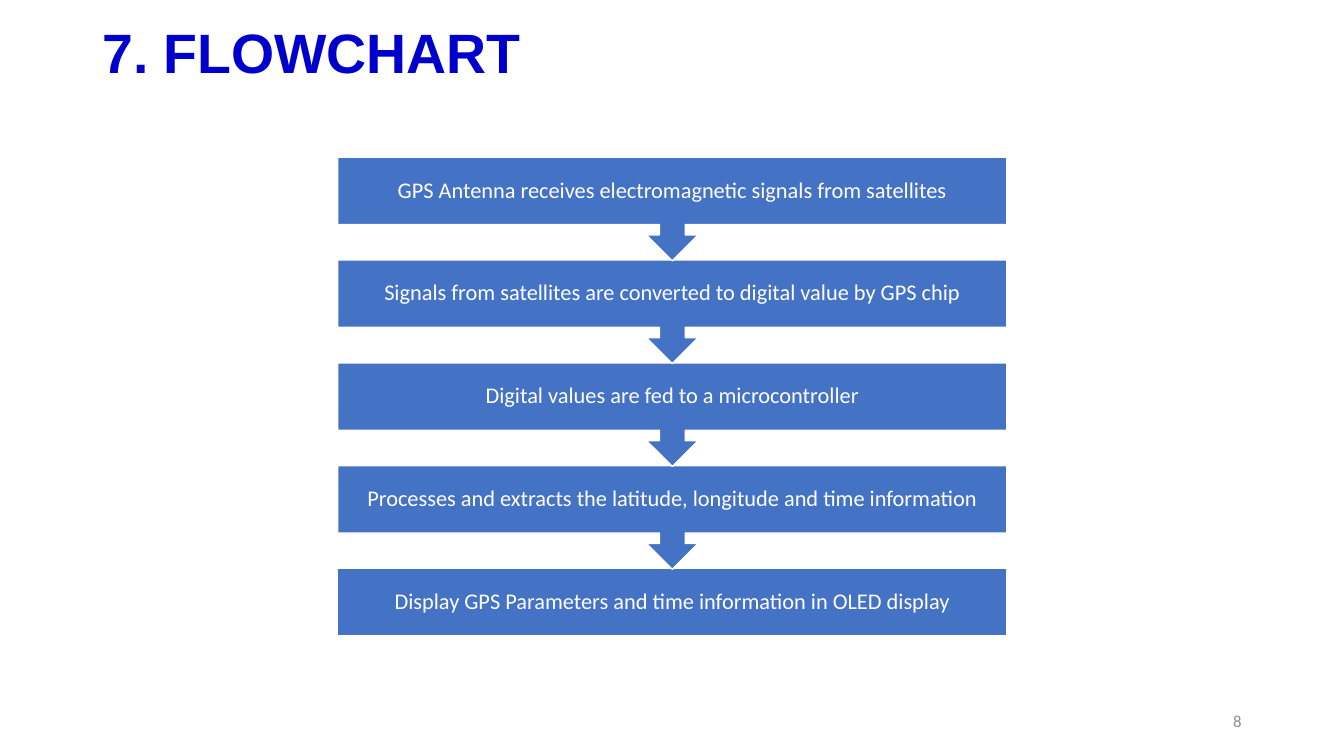
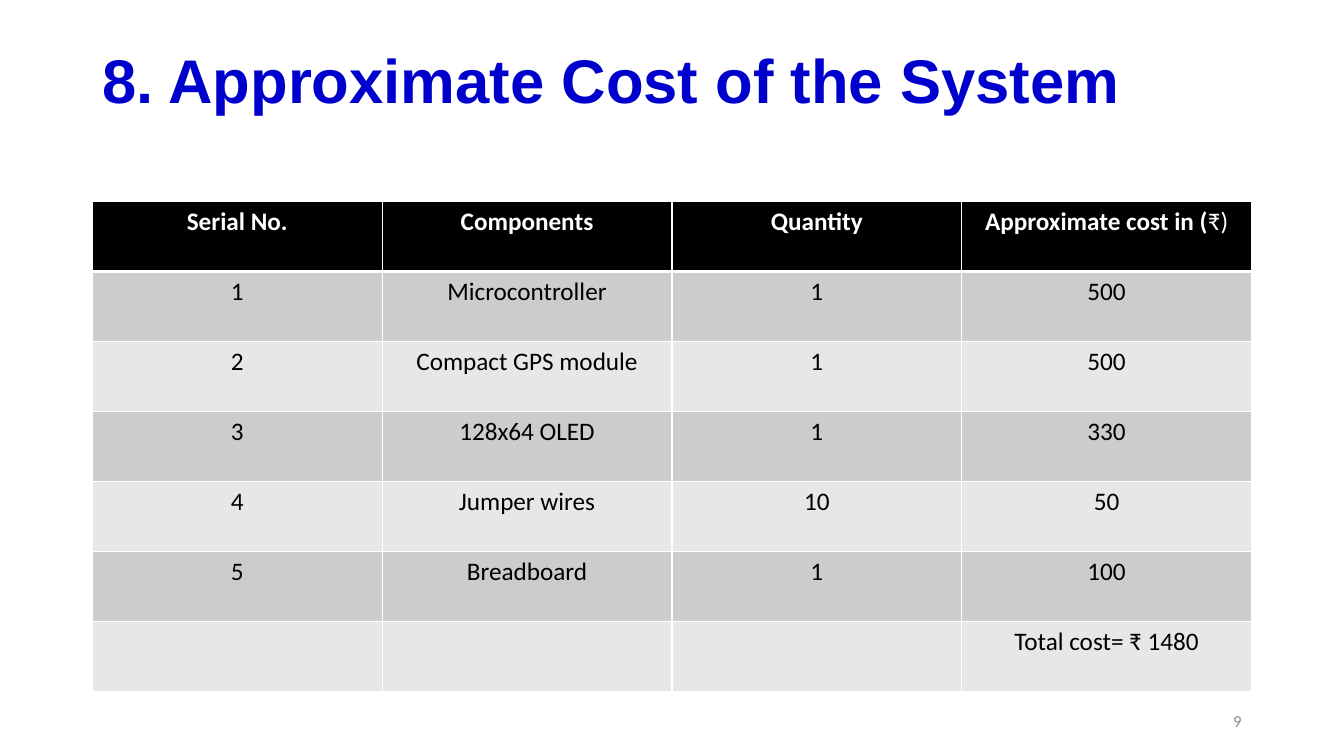
import pptx
import pptx.util
import pptx.dml.color
import pptx.enum.shapes
import pptx.enum.text
import pptx.oxml
import pptx.oxml.ns

Pt = pptx.util.Pt
RGBColor = pptx.dml.color.RGBColor
Shape = pptx.enum.shapes.MSO_SHAPE
Align = pptx.enum.text.PP_ALIGN
Anchor = pptx.enum.text.MSO_ANCHOR

TITLE_BLUE = RGBColor(0x00, 0x00, 0xCC)
STEP_BLUE = RGBColor(0x44, 0x72, 0xC4)
NUMBER_GRAY = RGBColor(0x8C, 0x8C, 0x8C)
BLACK = RGBColor(0x00, 0x00, 0x00)
WHITE = RGBColor(0xFF, 0xFF, 0xFF)
BANDS = (RGBColor(0xCC, 0xCC, 0xCC), RGBColor(0xE7, 0xE7, 0xE7))

STEPS = [
    "GPS Antenna receives electromagnetic signals from satellites",
    "Signals from satellites are converted to digital value by GPS chip",
    "Digital values are fed to a microcontroller",
    "Processes and extracts the latitude, longitude and time information",
    "Display GPS Parameters and time information in OLED display",
]

COSTS = [
    ("Serial No.", "Components", "Quantity", "Approximate cost in ("),
    ("1", "Microcontroller", "1", "500"),
    ("2", "Compact GPS module", "1", "500"),
    ("3", "128x64 OLED", "1", "330"),
    ("4", "Jumper wires", "10", "50"),
    ("5", "Breadboard", "1", "100"),
    ("", "", "", "Total cost= ₹ 1480"),
]


class Deck:
    heading_font = "Arial"
    body_font = "Calibri"
    margin = 66
    content_width = 828

    def __init__(self):
        self.presentation = pptx.Presentation()
        self.presentation.slide_width = Pt(960)
        self.presentation.slide_height = Pt(540)
        self.slide = None

    def start_slide(self, title, title_top, title_height, title_size, number):
        self.slide = self.presentation.slides.add_slide(
            self.presentation.slide_layouts[6])
        heading = self.text(title, self.margin, title_top, self.content_width,
                            title_height, title_size, TITLE_BLUE, Align.LEFT,
                            font=self.heading_font, bold=True)
        heading.line_spacing = 0.9
        self.text(str(number), 678, 500.5, 216, 28.75, 12, NUMBER_GRAY, Align.RIGHT)

    def style(self, paragraph, size, color, align, font=None, bold=False):
        paragraph.alignment = align
        paragraph.font.name = font or self.body_font
        paragraph.font.size = Pt(size)
        paragraph.font.bold = bold
        paragraph.font.color.rgb = color

    def text(self, words, left, top, width, height, size, color, align,
             font=None, bold=False):
        frame = self.slide.shapes.add_textbox(
            Pt(left), Pt(top), Pt(width), Pt(height)).text_frame
        frame.word_wrap = True
        frame.vertical_anchor = Anchor.MIDDLE
        paragraph = frame.paragraphs[0]
        paragraph.text = words
        self.style(paragraph, size, color, align, font, bold)
        return paragraph

    def step(self, words, top, is_last):
        left, width, box_height, callout_height = 241.2, 478, 48, 74
        kind = Shape.RECTANGLE if is_last else Shape.UP_ARROW_CALLOUT
        height = box_height if is_last else callout_height
        box = self.slide.shapes.add_shape(
            kind, Pt(left), Pt(top), Pt(width), Pt(height))
        box.rotation = 0 if is_last else 180
        box.shadow.inherit = False
        box.fill.solid()
        box.fill.fore_color.rgb = STEP_BLUE
        box.line.color.rgb = WHITE
        box.line.width = Pt(1)
        label = self.text(words, left, top, width, box_height, 16, WHITE, Align.CENTER)
        label.line_spacing = 0.9

    def flowchart(self, steps, top, pitch):
        last = len(steps) - 1
        for index in range(last, -1, -1):
            self.step(steps[index], top + index * pitch, index == last)

    def borders(self, cell, widths):
        properties = cell._tc.get_or_add_tcPr()
        for side, width in zip("LRTB", widths):
            properties.append(pptx.oxml.parse_xml(
                f'<a:ln{side} {pptx.oxml.ns.nsdecls("a")} w="{Pt(width)}">'
                f'<a:solidFill><a:srgbClr val="{WHITE}"/></a:solidFill></a:ln{side}>'))

    def table(self, rows, top, row_height):
        columns = len(rows[0])
        table = self.slide.shapes.add_table(
            len(rows), columns, Pt(self.margin), Pt(top),
            Pt(self.content_width), Pt(row_height * len(rows))).table
        table.horz_banding = False
        for row_index, row in enumerate(rows):
            is_header = row_index == 0
            for column_index, words in enumerate(row):
                cell = table.cell(row_index, column_index)
                self.borders(cell, (1, 1, 3 if row_index == 1 else 1,
                                    3 if is_header else 1))
                cell.fill.solid()
                cell.fill.fore_color.rgb = (
                    BLACK if is_header else BANDS[(row_index - 1) % 2])
                paragraph = cell.text_frame.paragraphs[0]
                paragraph.text = words
                self.style(paragraph, 18, WHITE if is_header else BLACK,
                           Align.CENTER, bold=is_header)
        return table


def main():
    deck = Deck()

    deck.start_slide("7. FLOWCHART", 12.75, 53.5, 39.6, 8)
    deck.flowchart(STEPS, 112.3, 73.45)

    deck.start_slide("8. Approximate Cost of the System", 28.75, 62.5, 44, 9)
    costs = deck.table(COSTS, 144, 50)
    currency = costs.cell(0, 3).text_frame.paragraphs[0].add_run()
    currency.text = "₹)"
    currency.font.bold = False

    deck.presentation.save("out.pptx")


if __name__ == "__main__":
    main()
